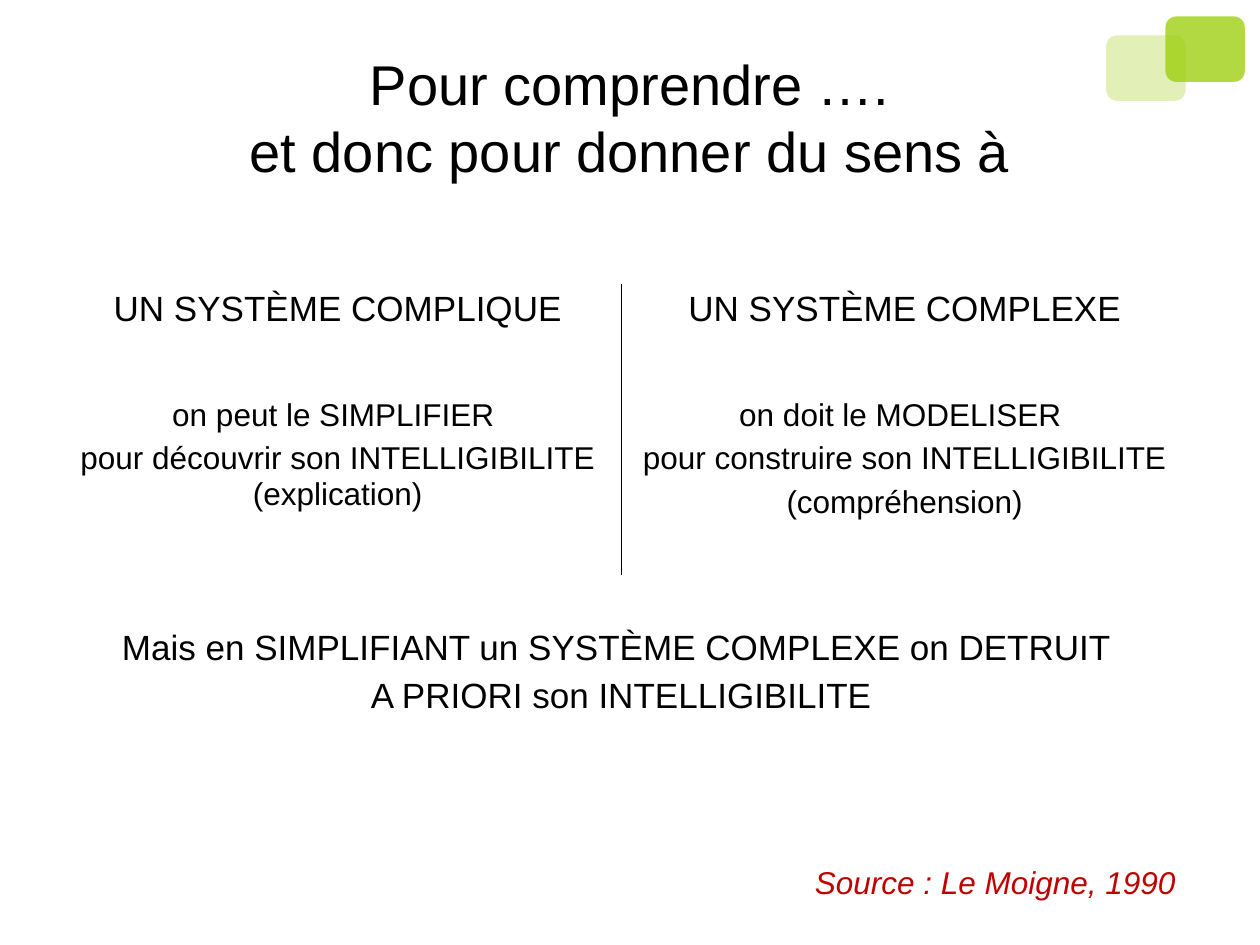
from dataclasses import dataclass

from lxml import etree
from pptx import Presentation
from pptx.dml.color import RGBColor
from pptx.enum.shapes import MSO_SHAPE
from pptx.enum.text import MSO_ANCHOR, PP_ALIGN
from pptx.oxml.ns import qn
from pptx.util import Inches, Pt

ROUNDED = MSO_SHAPE.ROUNDED_RECTANGLE
MIDDLE = MSO_ANCHOR.MIDDLE
CENTER, RIGHT = PP_ALIGN.CENTER, PP_ALIGN.RIGHT
SIDES = "LRTB"


@dataclass(frozen=True)
class Theme:
    """Colours, font and type sizes of the slide."""

    font: str = "Arial"
    ink: str = "000000"
    accent: str = "99CC00"
    source: str = "C00000"
    title: int = 32
    heading: int = 20
    body: int = 18
    heading_gap: float = 5
    body_gap: float = 4.5
    source_gap: float = 86
    rule: float = 0.45


class Deck:
    """Draws elements on a grid of 100 columns by 75 rows."""

    def __init__(self, theme):
        """Open a presentation with one blank slide."""
        self.theme = theme
        self.prs = Presentation()
        self.prs.slide_width, self.prs.slide_height = Inches(10), Inches(7.5)
        self.s = self.prs.slides.add_slide(self.prs.slide_layouts[6])

    def cols(self, n):
        """Return the width of n grid columns."""
        return int(self.prs.slide_width * n / 100)

    def rows(self, n):
        """Return the height of n grid rows."""
        return int(self.prs.slide_height * n / 75)

    def box(self, x, y, w, h):
        """Return a grid rectangle in slide units."""
        return self.cols(x), self.rows(y), self.cols(w), self.rows(h)

    def tile(self, x, y, w, h, opacity):
        """Draw a translucent rounded tile."""
        sp = self.s.shapes.add_shape(ROUNDED, *self.box(x, y, w, h))
        sp.shadow.inherit = False
        sp.line.fill.background()
        sp.fill.solid()
        sp.fill.fore_color.rgb = RGBColor.from_string(self.theme.accent)
        color = sp._element.spPr.find(".//" + qn("a:srgbClr"))
        etree.SubElement(color, qn("a:alpha"), val=str(opacity * 1000))

    def run(self, p, text, size, color=None, italic=False):
        """Add one styled run to a paragraph."""
        r = p.add_run()
        r.text = text
        r.font.name, r.font.size = self.theme.font, Pt(size)
        r.font.italic = italic
        r.font.color.rgb = RGBColor.from_string(color or self.theme.ink)

    def lines(self, tf, texts, size, gap):
        """Fill a text frame with centred paragraphs."""
        for i, text in enumerate(texts):
            p = tf.add_paragraph() if i else tf.paragraphs[0]
            p.alignment = CENTER
            p.space_before = Pt(gap if i else 0)
            self.run(p, text, size)

    def title(self, x, y, w, h, first, second):
        """Draw a two-line title."""
        tf = self.s.shapes.add_textbox(*self.box(x, y, w, h)).text_frame
        tf.word_wrap, tf.vertical_anchor = True, MIDDLE
        p = tf.paragraphs[0]
        p.alignment = CENTER
        self.run(p, first, self.theme.title)
        p.add_line_break()
        self.run(p, second, self.theme.title)

    def borders(self, cell, ruled=""):
        """Rule the named sides of a cell and clear the others."""
        tc_pr = cell._tc.get_or_add_tcPr()
        for i, side in enumerate(SIDES):
            ln = etree.Element(qn(f"a:ln{side}"), w=str(Pt(self.theme.rule)))
            tc_pr.insert(i, ln)
            if side in ruled:
                fill = etree.SubElement(ln, qn("a:solidFill"))
                etree.SubElement(fill, qn("a:srgbClr"), val=self.theme.ink)
            else:
                etree.SubElement(ln, qn("a:noFill"))

    def table(self, x, y, w, heights):
        """Add a plain two-column table."""
        frame = self.s.shapes.add_table(
            len(heights), 2, *self.box(x, y, w, sum(heights)))
        table = frame.table
        table.first_row = table.horz_banding = False
        for row, height in zip(table.rows, heights):
            row.height = self.rows(height)
        for cell in table.iter_cells():
            cell.fill.background()
        return table

    def comparison(self, table, columns):
        """Fill the headings and explanations on both sides of the rule."""
        t = self.theme
        for col, (heading, body) in enumerate(columns):
            parts = ((heading, t.heading, t.heading_gap), (body, t.body, t.body_gap))
            for row, (texts, size, gap) in enumerate(parts):
                cell = table.cell(row, col)
                self.borders(cell, "RL"[col])
                self.lines(cell.text_frame, texts, size, gap)

    def conclusion(self, table, texts, source):
        """Fill the merged last row with a conclusion and its source."""
        t = self.theme
        cell, last = table.cell(2, 0), table.cell(2, 1)
        cell.merge(last)
        for part in (cell, last):
            self.borders(part)
        cell.margin_top = self.rows(4.3)
        self.lines(cell.text_frame, texts, t.heading, t.heading_gap)
        p = cell.text_frame.add_paragraph()
        p.alignment, p.space_before = RIGHT, Pt(t.source_gap)
        self.run(p, source, t.body, t.source, italic=True)


def main():
    """Build and save the slide."""
    deck = Deck(Theme())
    deck.tile(92.5, 1.3, 6.3, 5.2, 74)
    deck.tile(87.8, 2.8, 6.3, 5.2, 28)
    deck.title(5, 3, 90, 12.5, "Pour comprendre ….", "et donc pour donner du sens à")
    table = deck.table(4.3, 22.5, 90, (8.6, 14.5, 28.1))
    deck.comparison(table, (
        (("UN SYSTÈME COMPLIQUE",),
         ("on peut le SIMPLIFIER ",
          "pour découvrir son INTELLIGIBILITE (explication)")),
        (("UN SYSTÈME COMPLEXE",),
         ("on doit le MODELISER ",
          "pour construire son INTELLIGIBILITE",
          "(compréhension)")),
    ))
    deck.conclusion(
        table,
        ("Mais en SIMPLIFIANT un SYSTÈME COMPLEXE on DETRUIT ",
         "A PRIORI son INTELLIGIBILITE"),
        "Source : Le Moigne, 1990")
    deck.prs.save("out.pptx")


if __name__ == "__main__":
    main()
